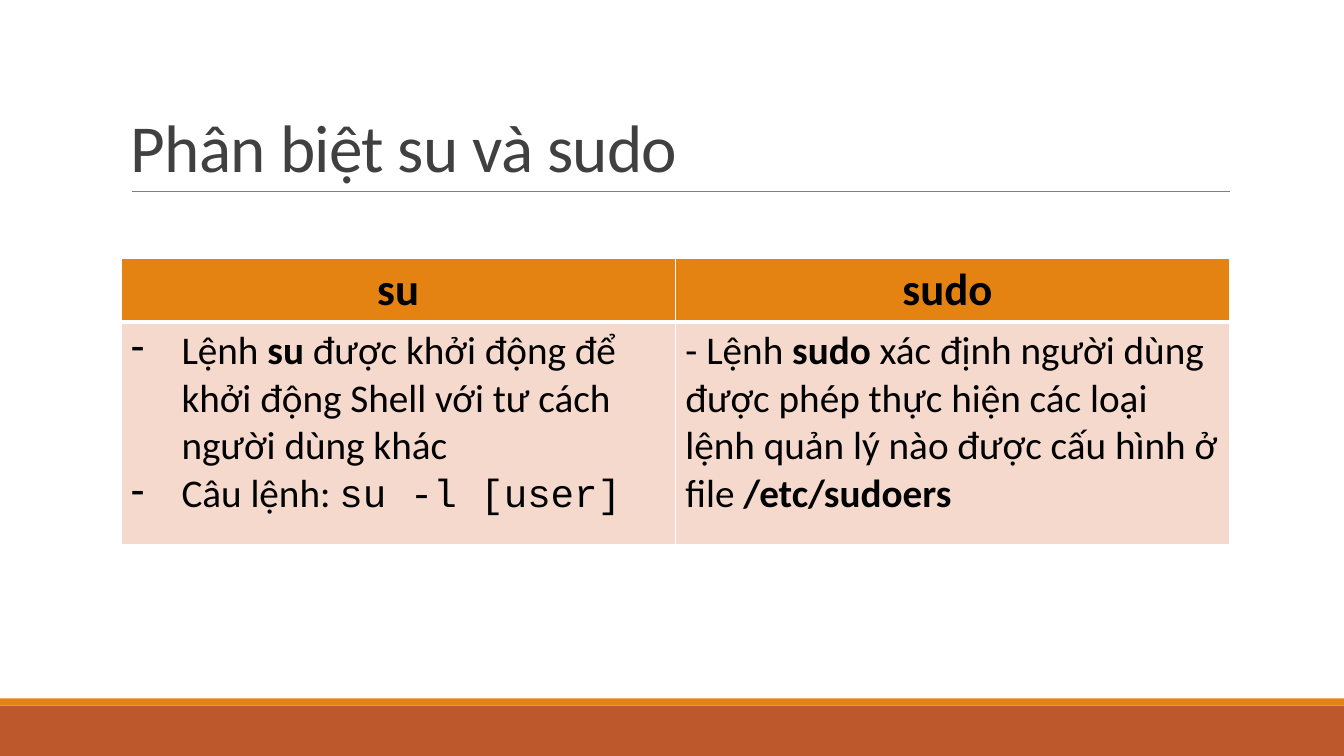
from pptx import Presentation
from pptx.util import Cm, Pt
from pptx.dml.color import RGBColor
from pptx.enum.shapes import MSO_SHAPE as Shape, MSO_CONNECTOR as Connector
from pptx.enum.text import MSO_ANCHOR as Anchor, PP_ALIGN as Align
from pptx.oxml.ns import qn
from lxml.etree import SubElement

COLORS = {
    "rust": "BD582C",
    "orange": "E48312",
    "rule": "808080",
    "title": "404040",
    "text": "000000",
    "blush": "F5D9CC",
    "border": "FFFFFF",
}


def color(name):
    return RGBColor.from_string(COLORS[name])


def style_cell(cell, fill, bottom_width):
    properties = cell._tc.get_or_add_tcPr()
    for side, width in (("L", 1), ("R", 1), ("T", 1), ("B", bottom_width)):
        line = SubElement(properties, qn(f"a:ln{side}"), w=str(Pt(width)))
        solid = SubElement(line, qn("a:solidFill"))
        SubElement(solid, qn("a:srgbClr"), val=COLORS["border"])
    cell.fill.solid()
    cell.fill.fore_color.rgb = color(fill)


deck = Presentation()
deck.slide_width, deck.slide_height = Cm(33.87), Cm(19.05)
page = deck.slides.add_slide(deck.slide_layouts[6])

for top, height, fill in ((17.78, 1.27, "rust"), (17.6, 0.18, "orange")):
    band = page.shapes.add_shape(Shape.RECTANGLE, 0, Cm(top), deck.slide_width, Cm(height))
    band.shadow.inherit = False
    band.fill.solid()
    band.fill.fore_color.rgb = color(fill)
    band.line.fill.background()

rule = page.shapes.add_connector(Connector.STRAIGHT, Cm(3.32), Cm(4.82), Cm(31), Cm(4.82))
rule.line.color.rgb = color("rule")
rule.line.width = Pt(0.5)
SubElement(rule._element.spPr, qn("a:effectLst"))

title_box = page.shapes.add_textbox(Cm(3.05), Cm(0.79), Cm(27.94), Cm(4.03))
title_box.text_frame.word_wrap = True
title_box.text_frame.vertical_anchor = Anchor.BOTTOM
para = title_box.text_frame.paragraphs[0]
para.line_spacing = 0.85
para.font.name, para.font.size = "Calibri", Pt(48)
para.font.color.rgb = color("title")
span = para.add_run()
span.text = "Phân biệt su và sudo"
span.font._element.set("spc", "-50")

table = page.shapes.add_table(2, 2, Cm(3.05), Cm(6.5), Cm(27.94), Cm(7.16)).table
table.rows[0].height, table.rows[1].height = Cm(1.55), Cm(5.61)

for column, heading in enumerate(("su", "sudo ")):
    cell = table.cell(0, column)
    style_cell(cell, "orange", 3)
    cell.text = heading
    para = cell.text_frame.paragraphs[0]
    para.alignment = Align.CENTER
    para.font.name, para.font.size, para.font.bold = "Calibri", Pt(32), True
    para.font.color.rgb = color("text")

comparison = (
    (True, (
        (("Lệnh ", ""), ("su ", "bold"),
         ("được khởi động để khởi động Shell với tư cách người dùng khác", "")),
        (("Câu lệnh: ", ""), ("su -l [user]", "code")),
    )),
    (False, (
        (("- Lệnh ", ""), ("sudo", "bold"),
         (" xác định người dùng được phép thực hiện các loại lệnh quản lý nào được cấu hình ở file ", ""),
         ("/etc/sudoers", "bold")),
    )),
)
for column, (bulleted, paragraphs) in enumerate(comparison):
    cell = table.cell(1, column)
    style_cell(cell, "blush", 1)
    frame = cell.text_frame
    for index, spans in enumerate(paragraphs):
        para = frame.add_paragraph() if index else frame.paragraphs[0]
        if bulleted:
            properties = para._p.get_or_add_pPr()
            properties.set("marL", str(Cm(1.27)))
            properties.set("indent", str(Cm(-1.27)))
            SubElement(properties, qn("a:buChar"), char="-")
        para.font.size = Pt(28)
        para.font.color.rgb = color("text")
        for words, style in spans:
            span = para.add_run()
            span.text = words
            span.font.name = "Courier New" if style == "code" else "Calibri"
            span.font.bold = style == "bold"

deck.save("out.pptx")
